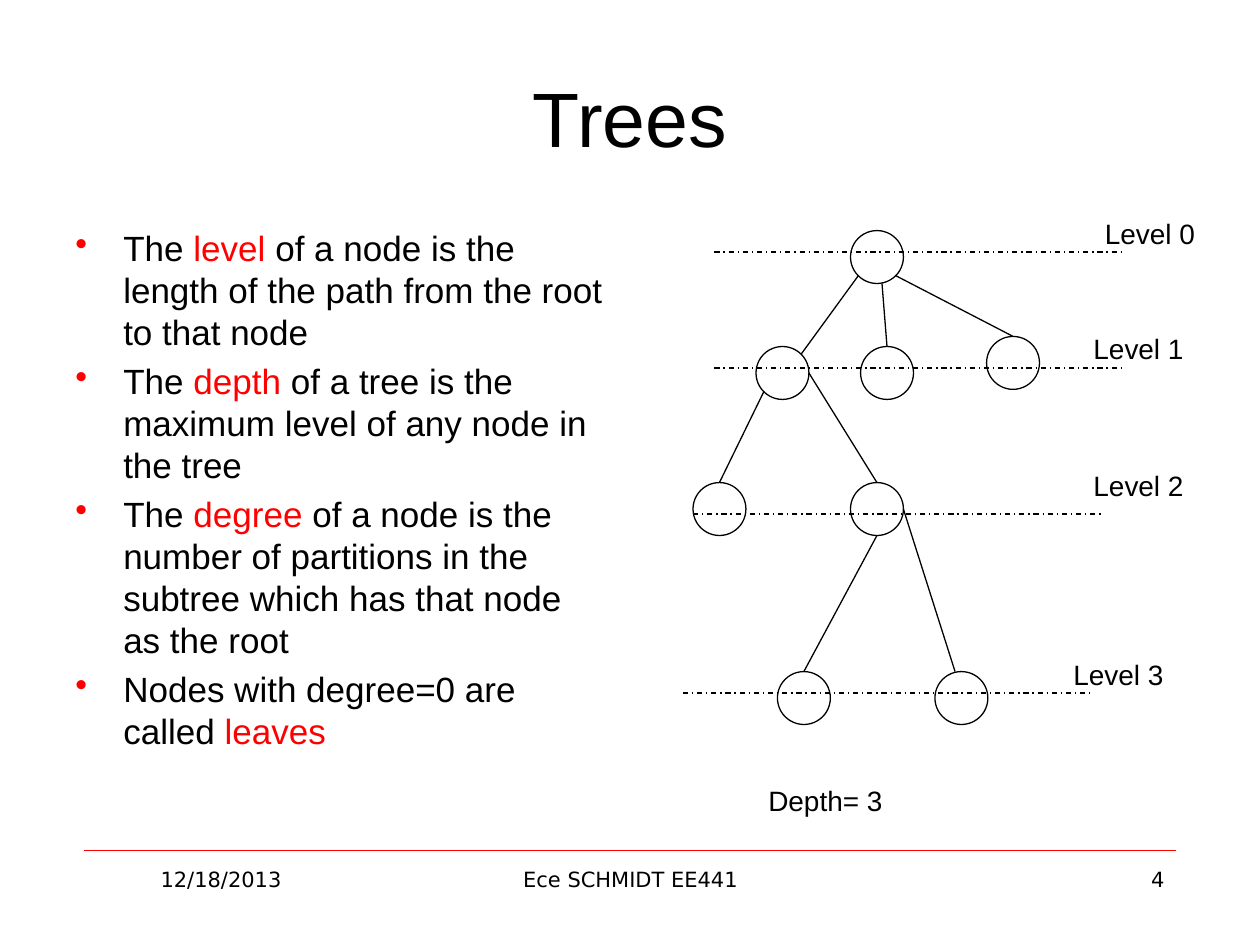
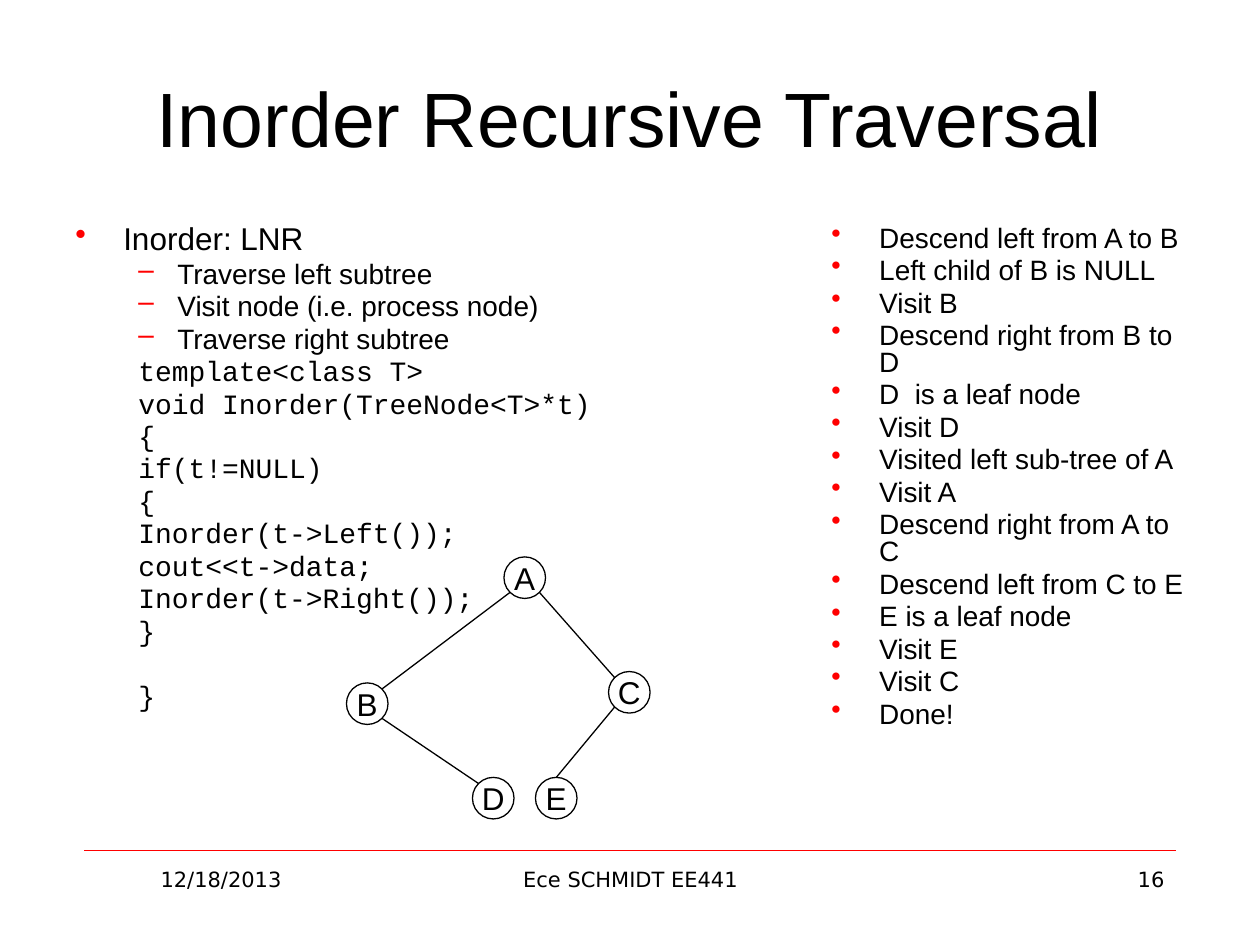
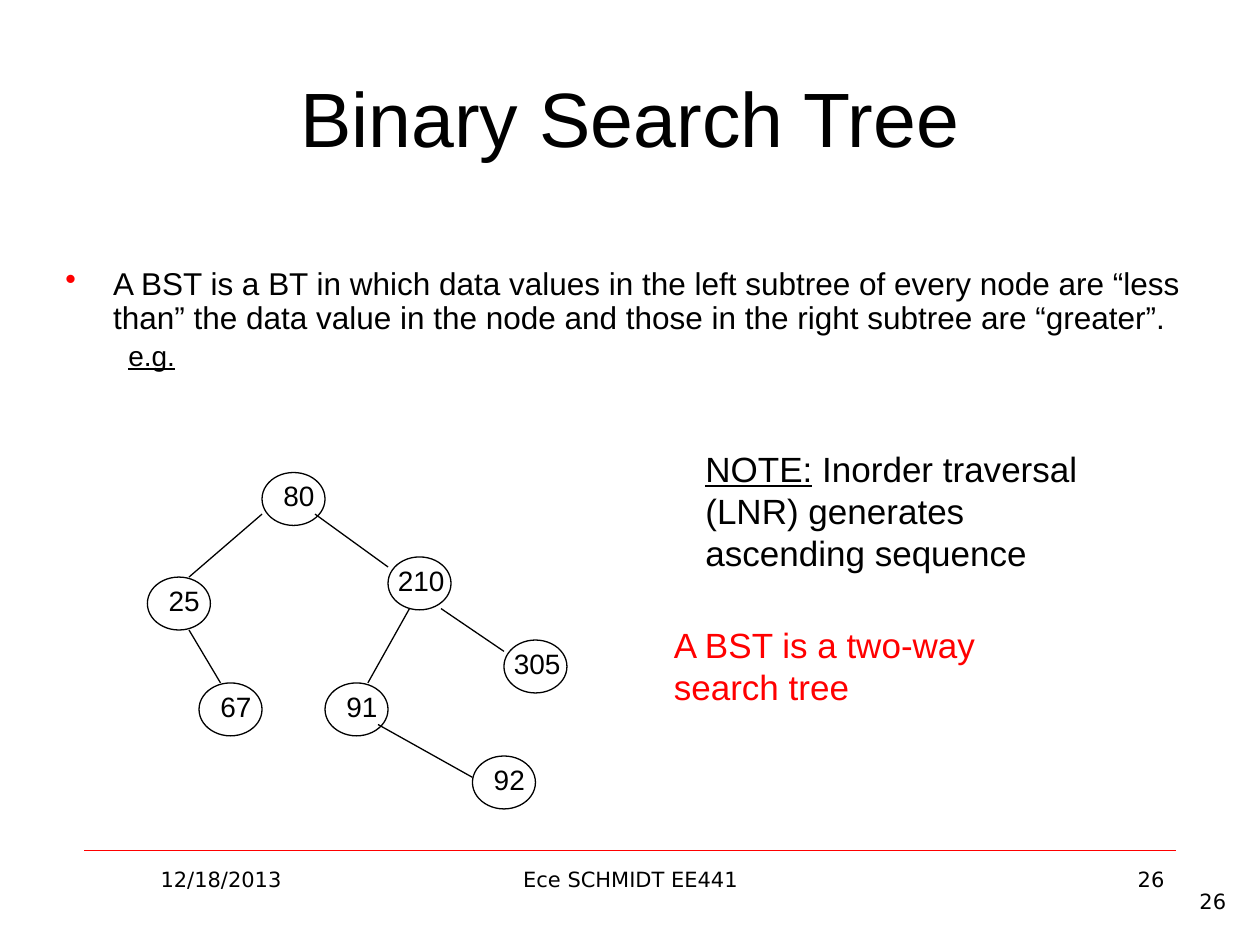
"""Build three lecture slides about trees and binary search trees."""
from dataclasses import dataclass

from lxml import etree
from pptx import Presentation
from pptx.dml.color import RGBColor
from pptx.enum.dml import MSO_LINE
from pptx.enum.shapes import MSO_CONNECTOR, MSO_SHAPE
from pptx.enum.text import MSO_ANCHOR, MSO_AUTO_SIZE, PP_ALIGN
from pptx.oxml.ns import qn
from pptx.util import Inches, Pt


@dataclass(frozen=True)
class Theme:
    black: RGBColor = RGBColor(0, 0, 0)
    red: RGBColor = RGBColor(255, 0, 0)
    body_font: str = "Arial"
    code_font: str = "Courier New"
    footer_font: str = "DejaVu Sans"
    title: int = 44
    large: int = 20
    medium: int = 18
    small: int = 16
    footer: int = 12


THEME = Theme()
INDENTS = [(0.38, -0.38), (0.81, -0.31)]
RIM = {"n": (0, -1), "e": (1, 0), "s": (0, 1),
       "nw": (-0.7, -0.7), "ne": (0.7, -0.7), "sw": (-0.7, 0.7), "se": (0.7, 0.7)}


@dataclass
class Line:
    """A paragraph; the text between two bars is emphasised."""
    text: str
    size: int = THEME.small
    font: str = THEME.body_font
    color: RGBColor = THEME.black
    align: PP_ALIGN = PP_ALIGN.LEFT
    level: int | None = None
    bullet: str = ""
    spacing: float = 1.0
    before: float = 0
    underline: bool = False


def rim(box, direction):
    """Return the point of an ellipse's rim in a compass direction."""
    left, top, width, height = box
    across, down = RIM[direction]
    return left + width / 2 * (1 + across), top + height / 2 * (1 + down)


class Deck:
    """Hold the presentation and the current slide, and draw on it."""

    def __init__(self):
        self.presentation = Presentation()
        self.presentation.slide_width = Inches(10)
        self.presentation.slide_height = Inches(7.5)

    def new_slide(self, title, number):
        self.slide = self.presentation.slides.add_slide(self.presentation.slide_layouts[6])
        self.canvas = self.slide.shapes
        self.line((0.67, 6.75), (9.33, 6.75), THEME.red, 0.25)
        self.text((0.5, 0.3, 9, 1.25), [Line(title, THEME.title, align=PP_ALIGN.CENTER)],
                  anchor=MSO_ANCHOR.MIDDLE)
        self.footer((0.67, 6.83, 2.17, 0.52), "12/18/2013")
        self.footer((3.42, 6.83, 3.17, 0.52), "Ece SCHMIDT EE441")
        self.footer((7.17, 6.83, 2.17, 0.52), number, PP_ALIGN.RIGHT)

    def footer(self, box, text, align=PP_ALIGN.CENTER):
        self.text(box, [Line(text, THEME.footer, THEME.footer_font, align=align)])

    def start_group(self):
        self.canvas = self.slide.shapes.add_group_shape().shapes

    def end_group(self):
        self.canvas = self.slide.shapes

    def line(self, start, end, color=THEME.black, width=0.75, dash=None):
        connector = self.canvas.add_connector(
            MSO_CONNECTOR.STRAIGHT, *(Inches(value) for value in (*start, *end)))
        connector.line.color.rgb = color
        connector.line.width = Pt(width)
        if dash:
            connector.line.dash_style = dash
        etree.SubElement(connector.element.spPr, qn("a:effectLst"))

    def ellipse(self, box, label=""):
        shape = self.canvas.add_shape(MSO_SHAPE.OVAL, *map(Inches, box))
        shape.shadow.inherit = False
        shape.fill.background()
        shape.line.color.rgb = THEME.black
        shape.line.width = Pt(0.75)
        if label:
            frame = shape.text_frame
            frame.word_wrap = False
            frame.vertical_anchor = MSO_ANCHOR.MIDDLE
            self.fill_paragraph(frame.paragraphs[0],
                                Line(label, THEME.medium, align=PP_ALIGN.CENTER))
        return box

    def text(self, box, lines, anchor=MSO_ANCHOR.TOP, grow=False):
        frame = self.canvas.add_textbox(*map(Inches, box)).text_frame
        frame.word_wrap = True
        frame.vertical_anchor = anchor
        if grow:
            frame.auto_size = MSO_AUTO_SIZE.SHAPE_TO_FIT_TEXT
        for index, line in enumerate(lines):
            self.fill_paragraph(frame.add_paragraph() if index else frame.paragraphs[0], line)

    def fill_paragraph(self, paragraph, line):
        paragraph.alignment = line.align
        paragraph.line_spacing = line.spacing
        paragraph.space_before = Pt(line.before)
        paragraph.font.size = Pt(line.size)
        paragraph.font.name = line.font
        paragraph.font.color.rgb = line.color
        for index, part in enumerate(line.text.split("|")):
            if part:
                run = paragraph.add_run()
                run.text = part
                if index % 2 and line.underline:
                    run.font.underline = True
                elif index % 2:
                    run.font.color.rgb = THEME.red
        if line.level is not None:
            self.indent(paragraph, line)

    def indent(self, paragraph, line):
        paragraph.level = line.level
        margin, hanging = INDENTS[line.level]
        properties = paragraph._p.get_or_add_pPr()
        properties.set("marL", str(Inches(margin)))
        properties.set("indent", str(Inches(hanging)))
        defaults = properties.find(qn("a:defRPr"))
        if line.bullet:
            color = etree.Element(qn("a:buClr"))
            etree.SubElement(color, qn("a:srgbClr"), val=str(THEME.red))
            defaults.addprevious(color)
            defaults.addprevious(etree.Element(qn("a:buChar"), char=line.bullet))
        else:
            defaults.addprevious(etree.Element(qn("a:buNone")))


def item(text, size=THEME.small, level=0, bullet="•", spacing=0.8, **style):
    """Return a list paragraph with a fifth of its size as space before."""
    style.setdefault("before", size * 0.2)
    return Line(text, size, level=level, bullet=bullet, spacing=spacing, **style)


def code(text, **style):
    """Return one line of program text."""
    return item(text, level=1, bullet="", font=THEME.code_font, **style)


def add_levels_slide(deck):
    """Add the slide on level, depth and degree."""
    deck.new_slide("Trees", "4")
    definitions = [
        "The |level |of a node is the length of the path from the root to that node",
        "The |depth| of a tree is the maximum level of any node in the tree",
        "The |degree| of a node is the number of partitions in the subtree "
        "which has that node as the root",
        "Nodes with degree=0 are called |leaves|",
    ]
    deck.text((0.5, 1.75, 4.42, 4.95),
              [item(text, THEME.large, spacing=1.0) for text in definitions])
    corners = {"root": (6.75, 1.83), "left": (6, 2.75), "right": (7.83, 2.67),
               "middle": (6.83, 2.75), "inner": (6.75, 3.83), "leaf": (5.5, 3.83),
               "deep right": (7.42, 5.33), "deep left": (6.17, 5.33)}
    nodes = {name: deck.ellipse((*corner, 0.42, 0.42)) for name, corner in corners.items()}
    edges = [("root", "sw", "left", "ne"), ("root", "se", "right", "n"),
             ("left", "sw", "leaf", "n"), ("left", "e", "inner", "n"),
             ("inner", "s", "deep left", "n")]
    for parent, leaving, child, entering in edges:
        deck.line(rim(nodes[parent], leaving), rim(nodes[child], entering))
    deck.line((7, 2.25), rim(nodes["middle"], "n"))
    deck.line(rim(nodes["inner"], "e"), (7.58, 5.33))
    levels = [(5.67, 2, 8.67, 1.67), (5.67, 2.92, 8.58, 2.58),
              (5.5, 4.08, 8.58, 3.67), (5.42, 5.5, 8.42, 5.17)]
    for number, (left, height, label_left, label_top) in enumerate(levels):
        deck.line((left, height), (left + 3.25, height), dash=MSO_LINE.DASH_DOT)
        deck.text((label_left, label_top, 0.92, 0.37),
                  [Line(f"Level {number}", before=8)], grow=True)
    deck.text((6, 6.17, 1.17, 0.37), [Line("Depth= 3", before=8)], grow=True)


def add_inorder_slide(deck):
    """Add the slide on inorder traversal."""
    deck.new_slide("Inorder Recursive Traversal", "16")
    rules = ["Traverse left subtree", "Visit node (i.e. process node)",
             "Traverse right subtree"]
    program = ["template<class T>", "void Inorder(TreeNode<T>*t)", "{", "if(t!=NULL)", "{",
               "Inorder(t->Left());", "cout<<t->data;", "Inorder(t->Right());", "}"]
    deck.text((0.5, 1.75, 4.42, 4.25), [
        item("Inorder: LNR", THEME.medium),
        *(item(rule, level=1, bullet="–") for rule in rules),
        *map(code, program),
        code("}", before=21.8),
    ])
    steps = ["Descend left from A to B", "Left child of B is NULL", "Visit B",
             "Descend right from B to D", "D  is a leaf node", "Visit D",
             "Visited left sub-tree of A", "Visit A", "Descend right from A to C",
             "Descend left from C to E", "E is a leaf node", "Visit E", "Visit C", "Done!"]
    deck.text((6.5, 1.75, 3, 4.67), [item(step) for step in steps])
    deck.start_group()
    corners = {"C": (4.83, 5.33), "E": (4.25, 6.17), "D": (3.75, 6.17),
               "B": (2.75, 5.42), "A": (4, 4.42)}
    nodes = {name: deck.ellipse((*corner, 0.33, 0.33), name)
             for name, corner in corners.items()}
    edges = [("C", "sw", "E", "n"), ("B", "se", "D", "nw"),
             ("A", "sw", "B", "ne"), ("A", "se", "C", "nw")]
    for parent, leaving, child, entering in edges:
        deck.line(rim(nodes[parent], leaving), rim(nodes[child], entering))
    deck.end_group()


def add_search_tree_slide(deck):
    """Add the slide on binary search trees."""
    deck.new_slide("Binary Search Tree", "26")
    deck.footer((9.33, 7, 0.5, 0.5), "26", PP_ALIGN.RIGHT)
    deck.text((0.42, 2.08, 9.17, 4.25), [
        item("A BST is a BT in which data values in the left subtree of every node are "
             "“less than” the data value in the node and those in the right subtree are "
             "“greater”.", THEME.medium, spacing=0.9),
        item("|e.g.|", level=1, bullet="", spacing=0.9, underline=True),
    ])
    keys = {"80": (2.08, 3.75), "25": (1.17, 4.58), "67": (1.58, 5.42), "210": (3.08, 4.42),
            "91": (2.58, 5.42), "305": (4, 5.08), "92": (3.75, 6)}
    for key, (left, top) in keys.items():
        deck.start_group()
        deck.ellipse((left, top, 0.5, 0.42))
        offset = 0.07 if len(key) == 2 else -0.02
        deck.text((left + offset, top, 0.68, 0.37), [Line(key)], grow=True)
        deck.end_group()
    edges = [((2.08, 4.08), (1.5, 4.58)), ((1.5, 5), (1.75, 5.42)),
             ((2.5, 4.08), (3.08, 4.5)), ((3.25, 4.83), (2.92, 5.42)),
             ((3.5, 4.83), (4, 5.17)), ((3, 5.75), (3.75, 6.17))]
    for start, end in edges:
        deck.line(start, end)
    deck.text((5.5, 3.5, 3.5, 1.1), [
        Line("|NOTE:| Inorder traversal (LNR) generates ascending sequence",
             THEME.large, before=10, underline=True)], grow=True)
    deck.text((5.25, 4.9, 3.5, 0.77), [
        Line("A BST is a two-way search tree", THEME.large, color=THEME.red, before=10)],
        grow=True)


def main():
    """Build and save the slides."""
    deck = Deck()
    add_levels_slide(deck)
    add_inorder_slide(deck)
    add_search_tree_slide(deck)
    deck.presentation.save("out.pptx")


if __name__ == "__main__":
    main()
